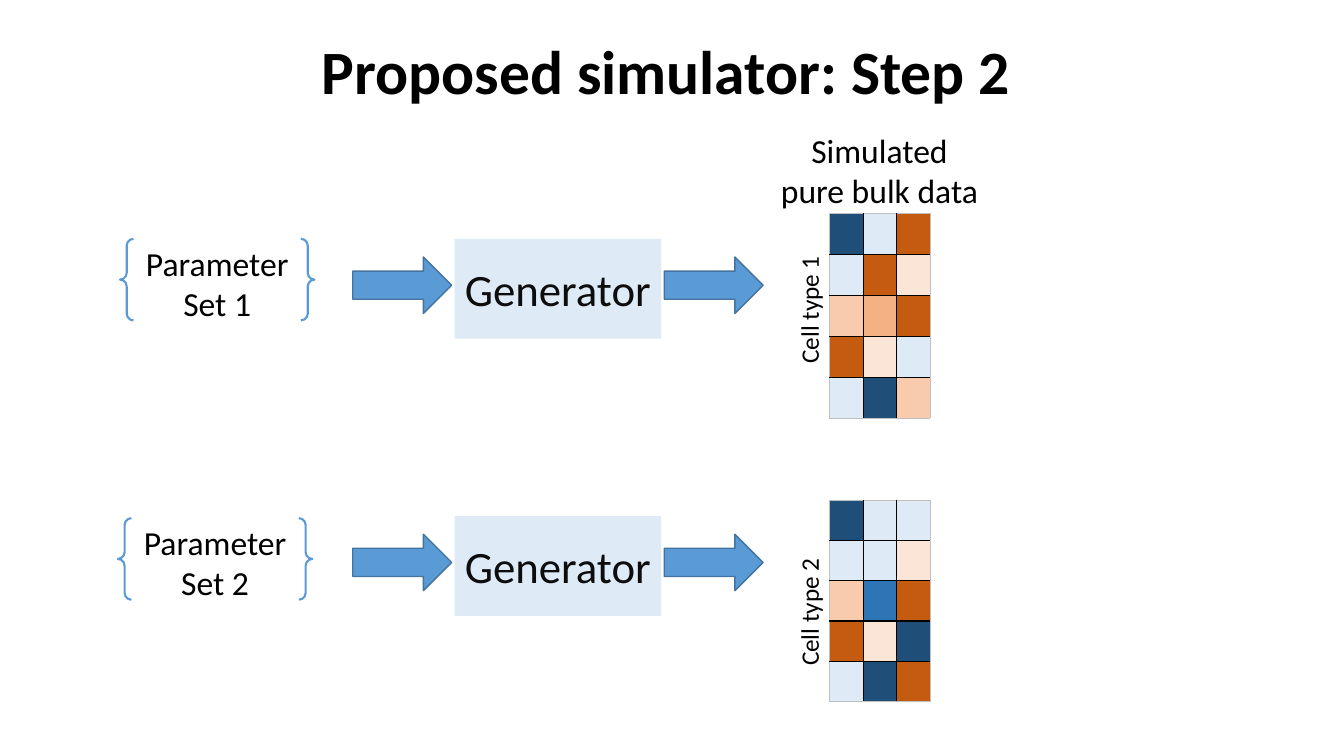
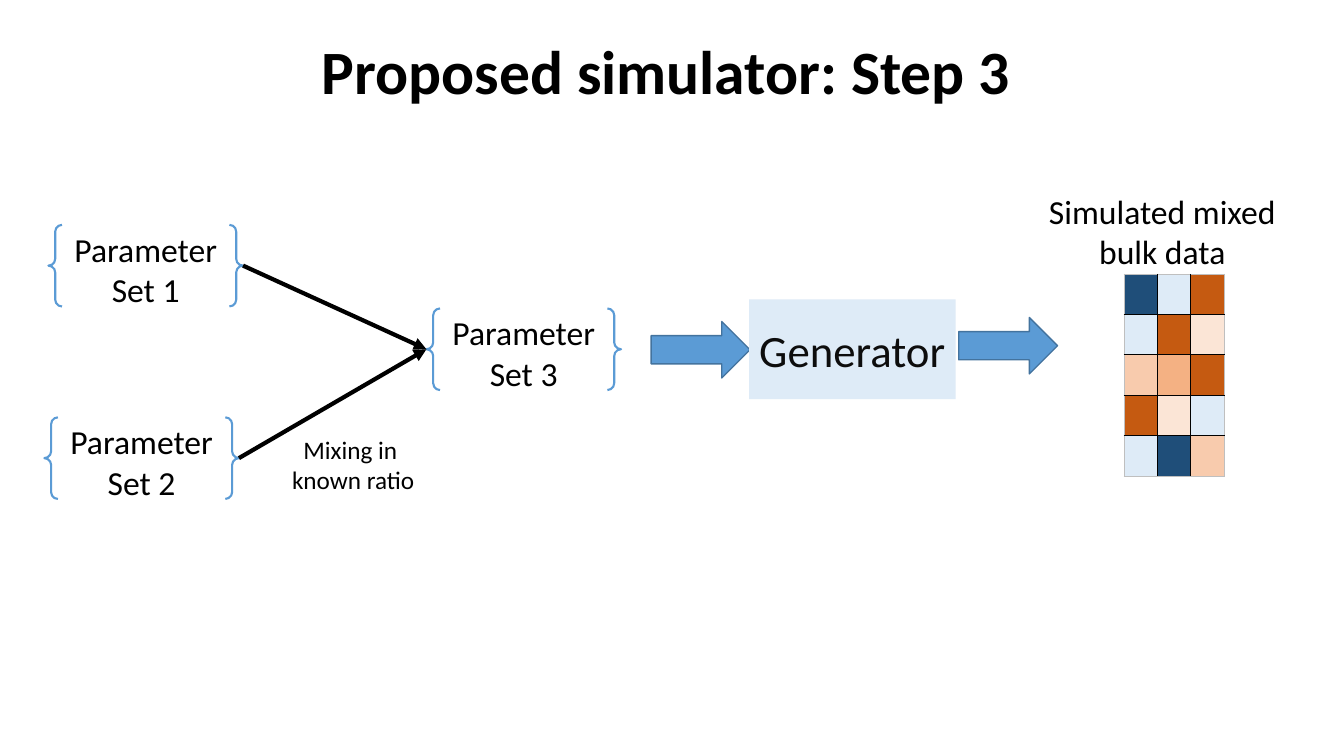
"""Build two slides that show the last steps of a bulk data simulator."""
from dataclasses import dataclass

from lxml.etree import SubElement
from pptx import Presentation
from pptx.dml.color import RGBColor
from pptx.enum.shapes import MSO_CONNECTOR, MSO_SHAPE
from pptx.enum.text import MSO_ANCHOR, MSO_AUTO_SIZE as FIT, PP_ALIGN as ALIGN
from pptx.oxml.ns import qn
from pptx.util import Pt


@dataclass(frozen=True)
class Theme:
    """Colours, font and type sizes of both slides."""
    font: str = "Calibri"
    black: str = "000000"
    ink: str = "0D0D0D"
    blue: str = "5B9BD5"
    edge: str = "43739E"
    pale: str = "DEEBF7"
    frame: str = "BFBFBF"
    title: int = 44
    box: int = 32
    body: int = 24
    small: int = 18


T = Theme()
HEAT = {"N": "1F4E79", "B": "2E75B6", "L": T.pale, "R": "C55A11",
        "O": "F4B183", "S": "F8CBAD", "P": "FBE5D6"}
CELL_TYPE_1 = ("NLR", "LRP", "SOR", "RPL", "LNS")
CELL_TYPE_2 = ("NLL", "LLP", "SBR", "RPN", "LNR")
COL_W, ROW_H = 23.9, 28.8
BRACE_W, BRACE_H = 139, 58.3
BOX_W, BOX_H = 147.6, 71.3
ARROW_W, ARROW_H = 70.6, 40.3


def rgb(color):
    """Turn a hex string into a colour."""
    return RGBColor.from_string(color)


def write(tf, text, size=T.body, color=T.black, bold=False, align=ALIGN.CENTER):
    """Fill a text frame with one formatted paragraph."""
    tf.word_wrap = True
    p = tf.paragraphs[0]
    p.text, p.alignment = text, align
    for r in p.runs:
        r.font.name, r.font.size, r.font.bold = T.font, Pt(size), bold
        r.font.color.rgb = rgb(color)
    return p


def add_slide(prs, title):
    """Add a slide with the shared title style."""
    s = prs.slides.add_slide(prs.slide_layouts[5])
    sp = s.shapes.title
    sp.left, sp.top, sp.width, sp.height = Pt(67), Pt(1.4), Pt(828), Pt(104.4)
    tf = sp.text_frame
    tf.auto_size, tf.vertical_anchor = FIT.NONE, MSO_ANCHOR.MIDDLE
    write(tf, title, size=T.title, bold=True).line_spacing = 0.9
    return s


def add_preset(s, kind, x, y, w, h, fill=None, line=None, weight=1):
    """Add a flat preset shape."""
    sp = s.shapes.add_shape(kind, Pt(x), Pt(y), Pt(w), Pt(h))
    sp.shadow.inherit = False
    if fill:
        sp.fill.solid()
        sp.fill.fore_color.rgb = rgb(fill)
    else:
        sp.fill.background()
    if line:
        sp.line.color.rgb, sp.line.width = rgb(line), Pt(weight)
    else:
        sp.line.fill.background()
    tf = sp.text_frame
    tf.vertical_anchor = MSO_ANCHOR.MIDDLE
    tf.margin_left = tf.margin_right = 0
    return sp


def add_params(s, number, x, y):
    """Add a parameter set in braces."""
    sp = add_preset(s, MSO_SHAPE.DOUBLE_BRACE, x, y, BRACE_W, BRACE_H,
                    line=T.blue, weight=1.5)
    write(sp.text_frame, f"Parameter Set {number}")
    return sp


def add_arrow(s, x, y):
    """Add a block arrow."""
    add_preset(s, MSO_SHAPE.RIGHT_ARROW, x, y, ARROW_W, ARROW_H,
               fill=T.blue, line=T.edge)


def add_generator(s, x, y, lead=72.7, drop=13):
    """Add the generator box with its input and output arrows."""
    add_arrow(s, x - lead, y + drop)
    sp = add_preset(s, MSO_SHAPE.RECTANGLE, x, y, BOX_W, BOX_H, fill=T.pale)
    write(sp.text_frame, "Generator", size=T.box, color=T.ink)
    add_arrow(s, x + 149.8, y + 13)


def add_label(s, text, x, y, w, h, rotation=0, **fmt):
    """Add a text box."""
    sp = s.shapes.add_textbox(Pt(x), Pt(y), Pt(w), Pt(h))
    sp.rotation = rotation
    write(sp.text_frame, text, **fmt)
    sp.text_frame.auto_size = FIT.SHAPE_TO_FIT_TEXT


def add_border(cell, side, outer):
    """Draw one cell border, light on the outer edge of the table."""
    tcPr = cell._tc.get_or_add_tcPr()
    ln = SubElement(tcPr, qn(f"a:ln{side}"), w=str(Pt(0.5 if outer else 1)))
    fill = SubElement(ln, qn("a:solidFill"))
    SubElement(fill, qn("a:srgbClr"), val=T.frame if outer else T.black)


def add_heatmap(s, rows, x, y):
    """Add a table whose cells are coloured by letter."""
    n, m = len(rows), len(rows[0])
    table = s.shapes.add_table(n, m, Pt(x), Pt(y), Pt(m * COL_W),
                               Pt(n * ROW_H)).table
    table.first_row = table.horz_banding = False
    for column in table.columns:
        column.width = Pt(COL_W)
    for i, row in enumerate(rows):
        table.rows[i].height = Pt(ROW_H)
        for j, key in enumerate(row):
            cell = table.cell(i, j)
            outer = {"L": j == 0, "R": j == m - 1, "T": i == 0, "B": i == n - 1}
            for side, is_outer in outer.items():
                add_border(cell, side, is_outer)
            cell.fill.solid()
            cell.fill.fore_color.rgb = rgb(HEAT[key])


def add_link(s, start, end):
    """Connect the right of one shape to the left of another."""
    cx = s.shapes.add_connector(MSO_CONNECTOR.STRAIGHT, 0, 0, 0, 0)
    cx.begin_connect(start, 3)
    cx.end_connect(end, 1)
    cx.line.color.rgb, cx.line.width = rgb(T.black), Pt(3)
    SubElement(cx.line._get_or_add_ln(), qn("a:tailEnd"), type="triangle")
    SubElement(cx._element.spPr, qn("a:effectLst"))


def build_step_2(prs):
    """Show one generator run for each cell type."""
    s = add_slide(prs, "Proposed simulator: Step 2 ")
    lanes = ((85.7, 170.6, 170.6, 152.6, 198.7, CELL_TYPE_1),
             (84.2, 370.1, 368.6, 357.1, 414.7, CELL_TYPE_2))
    for number, lane in enumerate(lanes, 1):
        params_x, params_y, box_y, map_y, label_y, rows = lane
        add_params(s, number, params_x, params_y)
        add_generator(s, 324.7, box_y)
        add_heatmap(s, rows, 592.6, map_y)
        add_label(s, f"Cell type {number}", 524.2, label_y, 107.3, 28.8,
                  rotation=270, size=T.small, align=ALIGN.LEFT)
    add_label(s, "Simulated pure bulk data", 547.2, 89.3, 162, 65.5)


def build_step_3(prs):
    """Show two parameter sets mixed into a third one."""
    s = add_slide(prs, "Proposed simulator: Step 3 ")
    sources = [add_params(s, 1, 34.6, 160.6), add_params(s, 2, 31.7, 298.1)]
    mixed = add_params(s, 3, 304.6, 220.3)
    for source in sources:
        add_link(s, source, mixed)
    add_label(s, "Mixing in \nknown ratio", 199.4, 306.7, 105.8, 51.1,
              size=T.small)
    add_generator(s, 535, 213.8, lead=69.9, drop=15.9)
    add_heatmap(s, CELL_TYPE_1, 802.8, 195.8)
    add_label(s, "Simulated mixed bulk data", 740.9, 132.5, 178.6, 65.5)


def main():
    """Build and save the presentation."""
    prs = Presentation()
    prs.slide_width, prs.slide_height = Pt(960), Pt(540)
    build_step_2(prs)
    build_step_3(prs)
    prs.save("out.pptx")


main()
